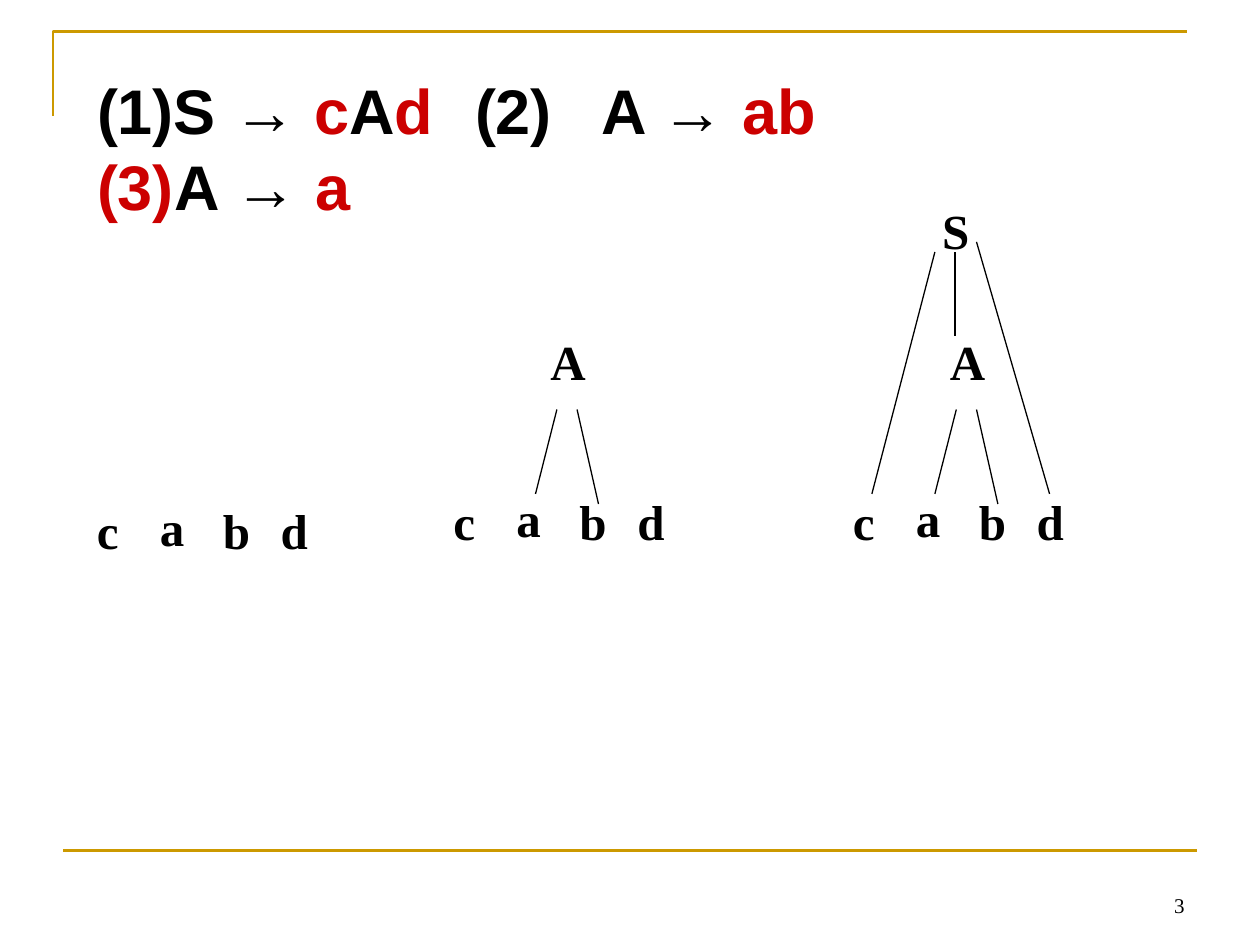
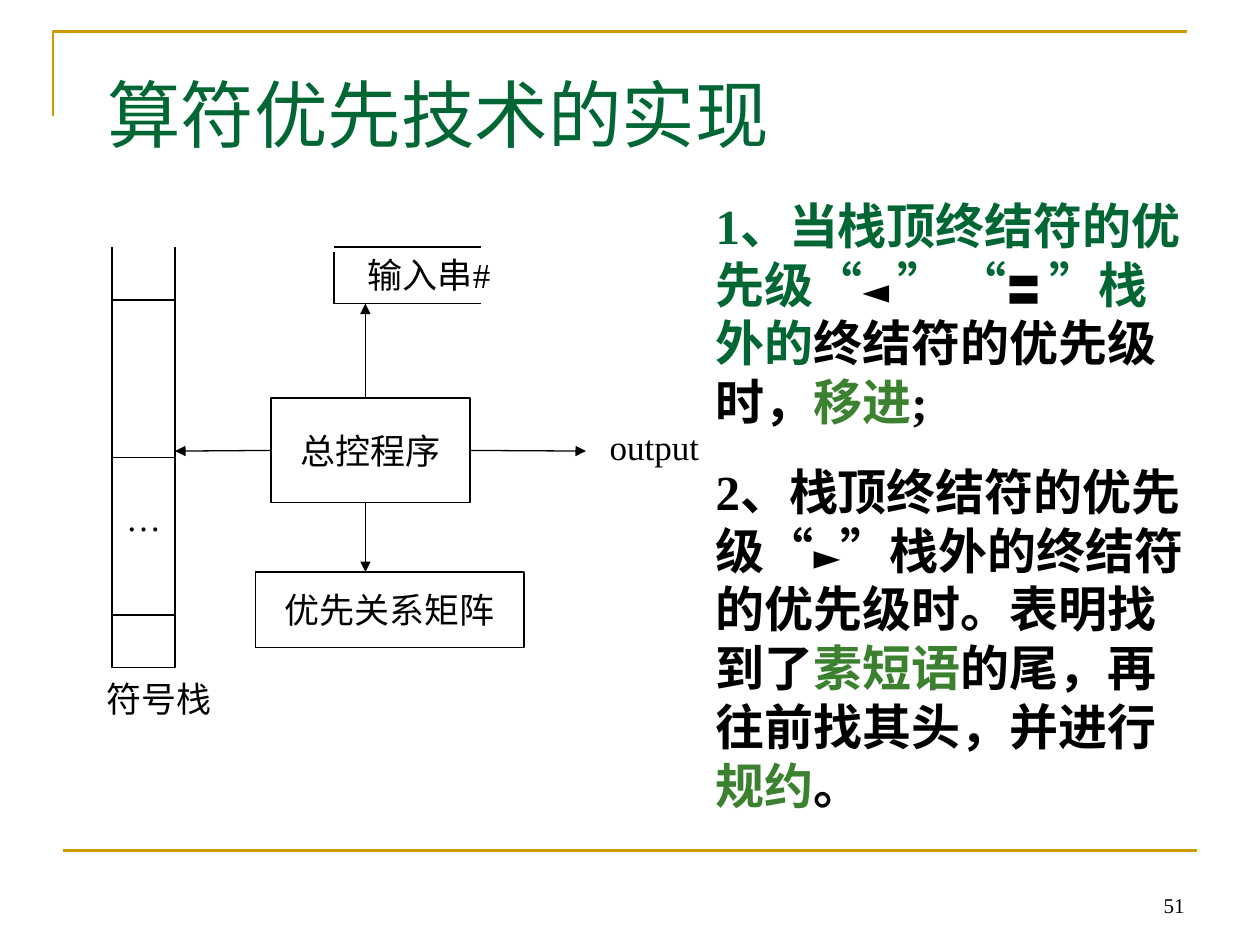
from lxml import etree
from pptx import Presentation
from pptx import util as u
from pptx.dml.color import RGBColor
from pptx.enum import shapes, text
from pptx.oxml.ns import qn

GOLD = RGBColor(0xCC, 0x99, 0x00)
BLACK = RGBColor(0, 0, 0)
WHITE = RGBColor(0xFF, 0xFF, 0xFF)
RED = RGBColor(0xCC, 0, 0)
GREEN = RGBColor(0, 0x66, 0x33)
LEAF_GREEN = RGBColor(0x3B, 0x81, 0x2F)
SERIF, SANS = "Times New Roman", "Arial"

NODE = dict(size=u.Pt(28), name=SERIF, color=BLACK, bold=True)
LABEL = dict(size=u.Pt(20), name=SERIF, color=BLACK, bold=False)
NUMBER = dict(LABEL, size=u.Pt(12))
TITLE = dict(LABEL, size=u.Pt(42), color=GREEN)
RULE = dict(NODE, size=u.Pt(36), name=SANS)

# A paragraph is a list of runs: (text, changes to the base format).
GRAMMAR = [
    [("(1)S → ", {}), ("c", {"color": RED}), ("A", {}), ("d", {"color": RED}),
     ("\t(2)\tA → ", {}), ("ab", {"color": RED})],
    [("(3)", {"color": RED}), ("A → ", {}), ("a", {"color": RED})],
]
GRAMMAR_TABS = [3.08, 3.95]

# Each level of the parse tree: nodes and branches, offset from its first leaf.
TREE_LEVELS = [
    ([("c", 0, 0), ("a", 0.5, -0.02), ("b", 1, 0), ("d", 1.46, 0)], []),
    ([("A", 0.77, -1.27)],
     [(0.92, -0.6, 0.75, 0.07), (1.08, -0.6, 1.25, 0.15)]),
    ([("S", 0.71, -2.31)],
     [(0.75, -1.85, 0.25, 0.07), (1.08, -1.93, 1.66, 0.07),
      (0.91, -1.85, 0.91, -1.18)]),
]
PARSE_STEPS = [(0.67, 3.92), (3.5, 3.85), (6.67, 3.85)]

SMALL = {"size": u.Pt(20)}
ACTIONS = [
    [("1、当栈顶终结符的优先级“", {"color": GREEN}), ("◄ ", SMALL),
     ("” “", {"color": GREEN}), ("〓 ", SMALL), ("”栈外的", {"color": GREEN}),
     ("终结符的优先级时，", {}), ("移进", {"color": LEAF_GREEN}), (";", {})],
    [("2、栈顶终结符的优先级“", {}), ("►", SMALL),
     ("”栈外的终结符的优先级时。表明找到了", {}),
     ("素短语", {"color": LEAF_GREEN}), ("的尾，再往前找其头，并进行", {}),
     ("规约", {"color": LEAF_GREEN}), ("。", {})],
]

STACK_LEFT, STACK_WIDTH, STACK_TOP = 0.89, 0.5, 2.38
STACK_CELLS = [("", 1.25), ("…", 1.25), ("", 0.42)]
STACK_RIGHT = STACK_LEFT + STACK_WIDTH
CONTROL = ("总控程序", 2.15, 3.16, 1.58, 0.83)
MATRIX = ("优先关系矩阵", 2.03, 4.54, 2.13, 0.6)
CAPTIONS = [("output", 4.74, 3.33, 1.17), ("输入串#", 2.82, 1.96, 1.62),
            ("符号栈", 0.75, 5.33, 1.28)]
OPEN_EDGES = [
    (2.65, 2.41, 3.82, 2.41), (2.65, 1.96, 3.82, 1.96), (2.65, 2, 2.65, 2.41),
    (STACK_LEFT, STACK_TOP, STACK_LEFT, 1.96),
    (STACK_RIGHT, STACK_TOP, STACK_RIGHT, 1.96),
]
# Arrow ends and, where it leaves the middle of a side, the control box's side.
ARROWS = [((3.73, 3.58, 4.65, 3.58), 3), ((2.15, 3.58, STACK_RIGHT, 3.58), 1),
          ((2.9, 3.16, 2.9, 2.41), None), ((2.9, 3.99, 2.9, 4.54), None)]


def set_font(font, style):
    for key, value in style.items():
        if key == "color":
            font.color.rgb = value
        else:
            setattr(font, key, value)


def write(shape, paragraphs, style, gap=0, tabs=(), **paragraph_format):
    """Fill a shape with runs; gap is the space before later paragraphs."""
    frame = shape.text_frame
    for index, runs in enumerate(paragraphs):
        paragraph = frame.paragraphs[0] if index == 0 else frame.add_paragraph()
        settings = dict(alignment=text.PP_ALIGN.LEFT,
                        space_before=u.Pt(gap if index else 0))
        for key, value in {**settings, **paragraph_format}.items():
            setattr(paragraph, key, value)
        properties = paragraph._p.get_or_add_pPr()
        if shape.is_placeholder:
            properties.set("marL", "0")
            properties.set("indent", "0")
            etree.SubElement(properties, qn("a:buNone"))
        if tabs:
            stops = etree.SubElement(properties, qn("a:tabLst"))
            for stop in tabs:
                etree.SubElement(stops, qn("a:tab"), pos=str(u.Inches(stop)), algn="l")
        for words, changes in runs:
            run = paragraph.add_run()
            run.text = words
            set_font(run.font, {**style, **changes})


def set_frame(shape, **changes):
    settings = dict(word_wrap=True, auto_size=text.MSO_AUTO_SIZE.NONE,
                    vertical_anchor=text.MSO_ANCHOR.TOP)
    for key, value in {**settings, **changes}.items():
        setattr(shape.text_frame, key, value)


def place(placeholder, left, top, width, height):
    for key, value in dict(left=left, top=top, width=width, height=height).items():
        setattr(placeholder, key, u.Inches(value))
    set_frame(placeholder)


def add_label(slide, words, left, top, width, height, style,
              anchor=text.MSO_ANCHOR.TOP, align=text.PP_ALIGN.LEFT):
    label = slide.shapes.add_textbox(*map(u.Inches, (left, top, width, height)))
    set_frame(label, vertical_anchor=anchor)
    write(label, [[(words, {})]], style, alignment=align)


def add_box(slide, words, left, top, width, height, bottom_inset=0.05):
    box = slide.shapes.add_shape(shapes.MSO_SHAPE.RECTANGLE,
                                 *map(u.Inches, (left, top, width, height)))
    box.shadow.inherit = False
    box.fill.solid()
    box.fill.fore_color.rgb = WHITE
    box.line.color.rgb = BLACK
    box.line.width = u.Pt(0.75)
    if words:
        set_frame(box, word_wrap=False, vertical_anchor=text.MSO_ANCHOR.MIDDLE,
                  margin_bottom=u.Inches(bottom_inset))
        write(box, [[(words, {})]], LABEL, alignment=text.PP_ALIGN.CENTER)
    return box


def add_line(slide, ends, color=BLACK, width=0.75, arrow=False):
    line = slide.shapes.add_connector(shapes.MSO_CONNECTOR.STRAIGHT,
                                      *map(u.Inches, ends))
    line.line.color.rgb = color
    line.line.width = u.Pt(width)
    if arrow:
        etree.SubElement(line.line._get_or_add_ln(), qn("a:tailEnd"), type="triangle")
    etree.SubElement(line._element.spPr, qn("a:effectLst"))
    return line


def add_slide(prs, layout, number):
    """Add a slide with the gold corner, the footer line and its number."""
    slide = prs.slides.add_slide(prs.slide_layouts[layout])
    left, top = u.Inches(0.42), u.Inches(0.25)
    builder = slide.shapes.build_freeform(left, u.Inches(0.92))
    builder.add_line_segments([(left, top), (u.Inches(9.42), top)], close=False)
    corner = builder.convert_to_shape()
    corner.shadow.inherit = False
    corner.fill.background()
    corner.line.color.rgb = GOLD
    corner.line.width = u.Pt(1.5)
    add_line(slide, (0.5, 6.75, 9.5, 6.75), GOLD, 1.5)
    add_label(slide, number, 7.17, 6.83, 2.33, 0.5, NUMBER,
              text.MSO_ANCHOR.BOTTOM, text.PP_ALIGN.RIGHT)
    return slide


def build_parse_slide(prs):
    slide = add_slide(prs, 5, "3")
    place(slide.shapes.title, 0.67, 0.52, 7.08, 1.3)
    write(slide.shapes.title, GRAMMAR, RULE, tabs=GRAMMAR_TABS)
    for step, (x, y) in enumerate(PARSE_STEPS, start=1):
        for nodes, branches in TREE_LEVELS[:step]:
            for symbol, dx, dy in nodes:
                add_label(slide, symbol, x + dx, y + dy, 0.5, 0.57, NODE)
            for x1, y1, x2, y2 in branches:
                add_line(slide, (x + x1, y + y1, x + x2, y + y2))


def build_precedence_slide(prs):
    slide = add_slide(prs, 1, "51")
    place(slide.shapes.title, 0.75, 0.5, 8.5, 1)
    write(slide.shapes.title, [[("算符优先技术的实现", {})]], TITLE)

    control = add_box(slide, *CONTROL)
    add_box(slide, *MATRIX)
    top = STACK_TOP
    for words, height in STACK_CELLS:
        add_box(slide, words, STACK_LEFT, top, STACK_WIDTH, height, bottom_inset=0.35)
        top += height
    for words, left, caption_top, width in CAPTIONS:
        add_label(slide, words, left, caption_top, width, 0.44, LABEL)
    for ends in OPEN_EDGES:
        add_line(slide, ends)
    for ends, side in ARROWS:
        arrow = add_line(slide, ends, arrow=True)
        if side is not None:
            arrow.begin_connect(control, side)

    actions = slide.placeholders[1]
    place(actions, 5.58, 1.5, 4, 5.23)
    write(actions, ACTIONS, NODE, gap=17.5)


def main():
    prs = Presentation()
    prs.slide_width, prs.slide_height = u.Inches(10), u.Inches(7.5)
    build_parse_slide(prs)
    build_precedence_slide(prs)
    prs.save("out.pptx")


if __name__ == "__main__":
    main()
